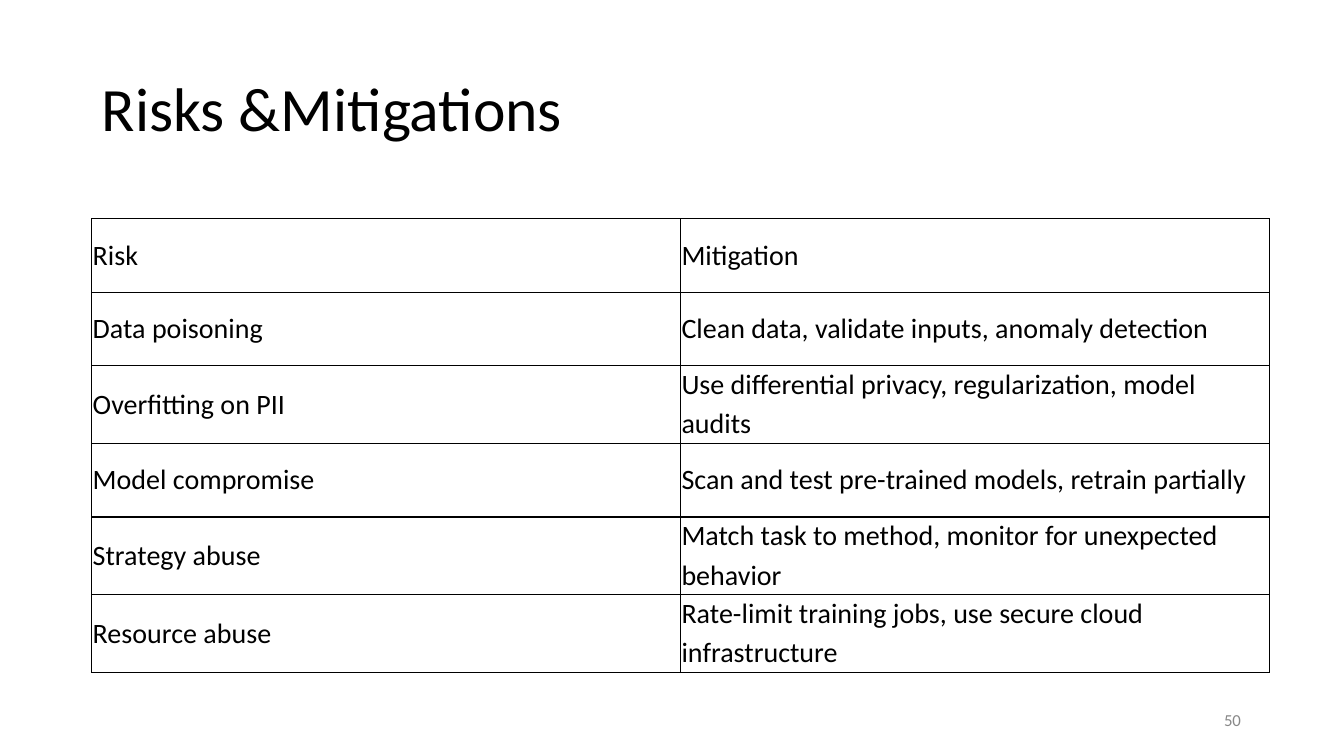
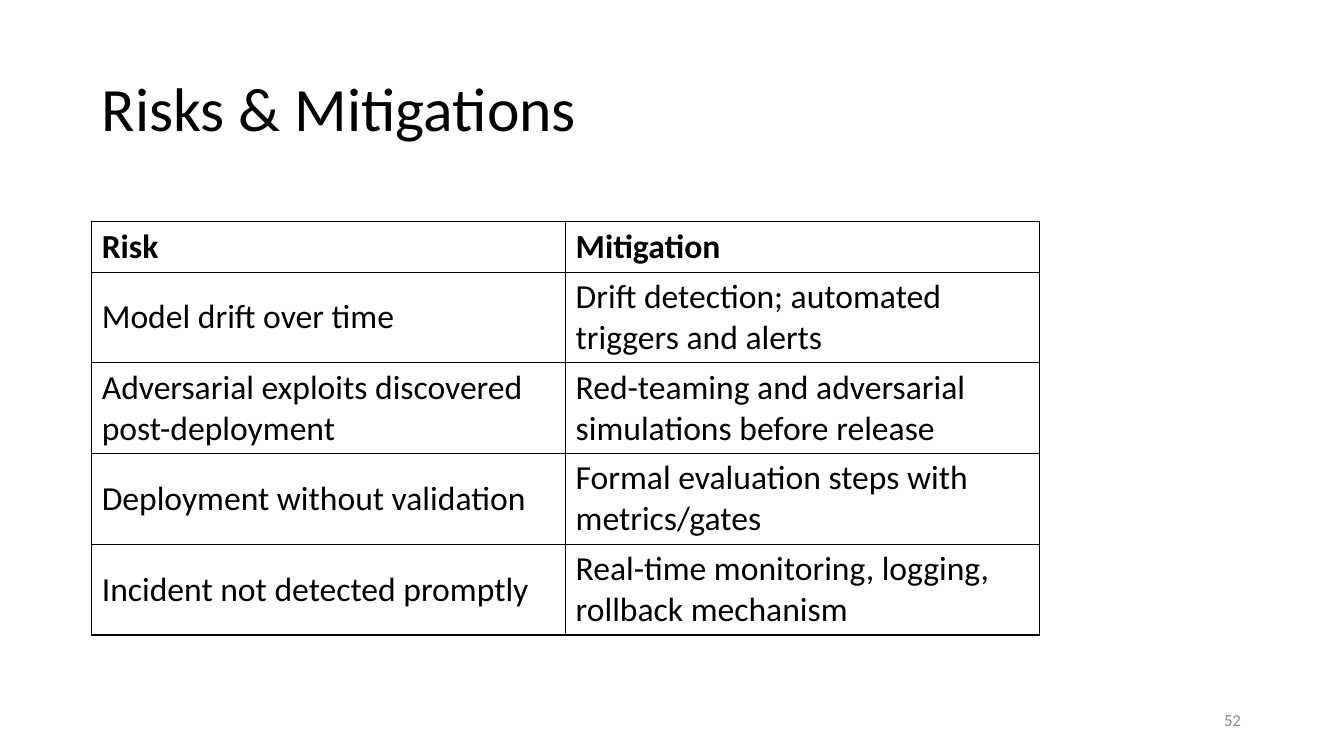
from lxml.etree import SubElement
from pptx import Presentation
from pptx.dml.color import RGBColor
from pptx.enum.text import MSO_ANCHOR
from pptx.oxml.ns import qn
from pptx.util import Inches, Pt

# Shared style
FONT = "Calibri"
BLACK = RGBColor(0x00, 0x00, 0x00)
GRAY = RGBColor(0x88, 0x88, 0x88)
TABLE_LEFT = 0.91

# Content: a line break in a cell starts a new paragraph
SLIDES = [
    {
        "title": "Risks &Mitigations",
        "number": "50",
        "rows": [
            ("Risk", "Mitigation"),
            ("Data poisoning", "Clean data, validate inputs, anomaly detection"),
            ("Overfitting on PII",
             "Use differential privacy, regularization, model\naudits"),
            ("Model compromise",
             "Scan and test pre-trained models, retrain partially"),
            ("Strategy abuse",
             "Match task to method, monitor for unexpected\nbehavior"),
            ("Resource abuse",
             "Rate-limit training jobs, use secure cloud\ninfrastructure"),
        ],
        "top": 2.17, "column_width": 5.84, "line_heights": {1: 0.73, 2: 0.77},
        "size": 20, "indent": 0.01, "gap": 3.6, "bold_header": False,
    },
    {
        "title": "Risks & Mitigations",
        "number": "52",
        "rows": [
            ("Risk", "Mitigation"),
            ("Model drift over time",
             "Drift detection; automated\ntriggers and alerts"),
            ("Adversarial exploits discovered\npost-deployment",
             "Red-teaming and adversarial\nsimulations before release"),
            ("Deployment without validation",
             "Formal evaluation steps with\nmetrics/gates"),
            ("Incident not detected promptly",
             "Real-time monitoring, logging,\nrollback mechanism"),
        ],
        "top": 2.2, "column_width": 4.7, "line_heights": {1: 0.5, 2: 0.9},
        "size": 24, "indent": 0.1, "gap": 0, "bold_header": True,
    },
]


def write_text(frame, text, *, size, color=BLACK, bold=False, gap=0, line_spacing=None):
    """Fill a text frame, one paragraph per line of text."""
    frame.word_wrap = True
    for index, line in enumerate(text.split("\n")):
        para = frame.add_paragraph() if index else frame.paragraphs[0]
        para.space_before = Pt(gap if index else 0)
        if line_spacing:
            para.line_spacing = Pt(line_spacing)
        span = para.add_run()
        span.text = line
        span.font.name = FONT
        span.font.size = Pt(size)
        span.font.bold = bold
        span.font.color.rgb = color


def add_text(page, text, left, top, width, height, **text_format):
    box = page.shapes.add_textbox(Inches(left), Inches(top), Inches(width), Inches(height))
    frame = box.text_frame
    frame.margin_left = frame.margin_right = frame.margin_top = frame.margin_bottom = 0
    write_text(frame, text, **text_format)


def add_borders(cell):
    properties = cell._tc.get_or_add_tcPr()
    for side in ("lnL", "lnR", "lnT", "lnB"):
        line = SubElement(properties, qn(f"a:{side}"), w=str(Pt(1)))
        fill = SubElement(line, qn("a:solidFill"))
        SubElement(fill, qn("a:srgbClr"), val=str(BLACK))


def add_risk_table(page, content):
    rows = content["rows"]
    column_count = len(rows[0])
    heights = [content["line_heights"][max(text.count("\n") + 1 for text in row)]
               for row in rows]
    table = page.shapes.add_table(
        len(rows), column_count, Inches(TABLE_LEFT), Inches(content["top"]),
        Inches(column_count * content["column_width"]), Inches(sum(heights))).table
    table.first_row = table.horz_banding = False
    for column in table.columns:
        column.width = Inches(content["column_width"])
    for row_index, row in enumerate(rows):
        table.rows[row_index].height = Inches(heights[row_index])
        for column_index, text in enumerate(row):
            cell = table.cell(row_index, column_index)
            cell.margin_left = Inches(content["indent"])
            cell.margin_right = cell.margin_top = cell.margin_bottom = 0
            cell.vertical_anchor = MSO_ANCHOR.MIDDLE
            add_borders(cell)
            cell.fill.background()
            write_text(cell.text_frame, text, size=content["size"], gap=content["gap"],
                       bold=content["bold_header"] and row_index == 0)


def main():
    deck = Presentation()
    deck.slide_width = Inches(13.33)
    deck.slide_height = Inches(7.5)
    for content in SLIDES:
        page = deck.slides.add_slide(deck.slide_layouts[6])
        # Title, table and page number
        add_text(page, content["title"], 1.01, 0.69, 11.32, 0.76, size=44)
        add_risk_table(page, content)
        add_text(page, content["number"], 12.14, 7.07, 0.23, 0.2,
                 size=12, color=GRAY, line_spacing=12.4)
    deck.save("out.pptx")


if __name__ == "__main__":
    main()
